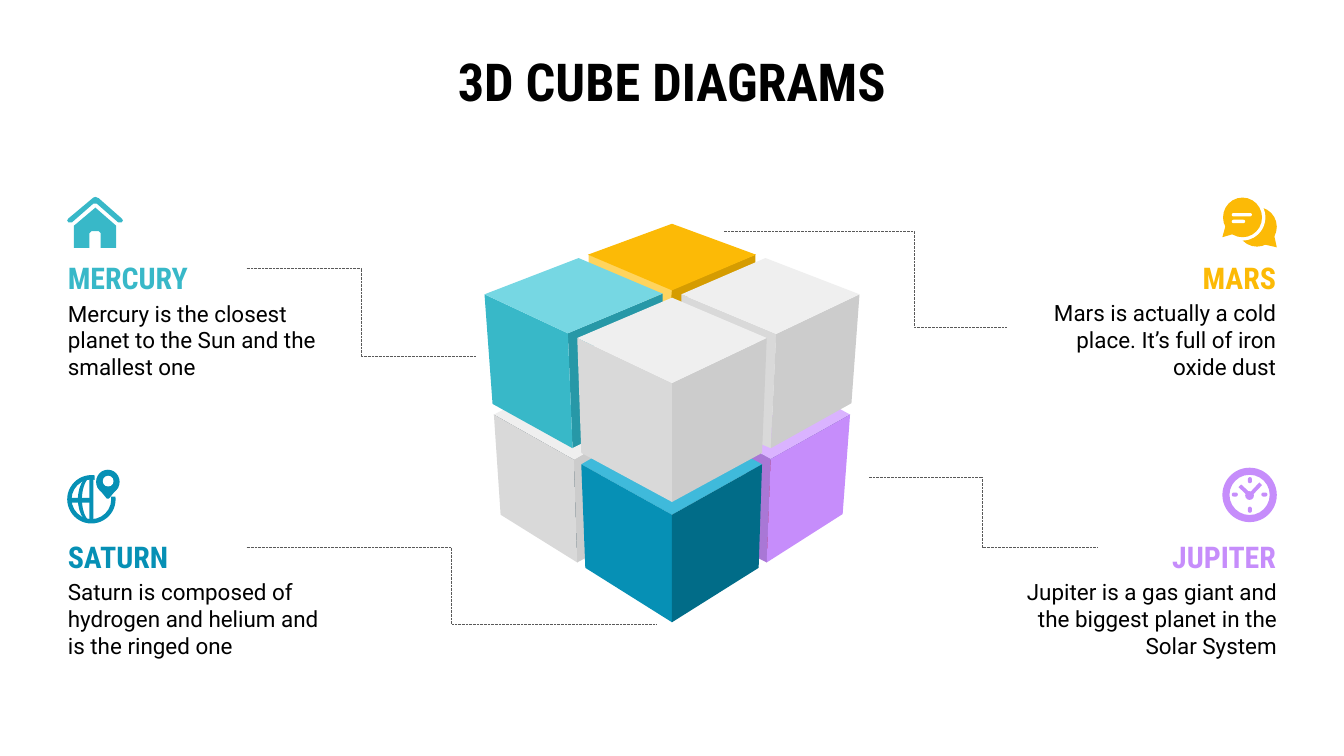
from dataclasses import dataclass

from lxml import etree
from pptx import Presentation
from pptx.dml.color import RGBColor
from pptx.enum.dml import MSO_LINE
from pptx.enum.shapes import MSO_CONNECTOR, MSO_SHAPE
from pptx.enum.text import MSO_ANCHOR, MSO_AUTO_SIZE, PP_ALIGN
from pptx.oxml.ns import qn
from pptx.util import Inches, Pt

LEFT, CENTER, RIGHT = PP_ALIGN.LEFT, PP_ALIGN.CENTER, PP_ALIGN.RIGHT
OVAL, RING, MOON = MSO_SHAPE.OVAL, MSO_SHAPE.DONUT, MSO_SHAPE.MOON
BOX, ROUNDED = MSO_SHAPE.RECTANGLE, MSO_SHAPE.ROUNDED_RECTANGLE

# The page is a grid of square cells
COLUMNS, ROWS = 20, 11.25
PAGE_WIDTH = Inches(20)
CELL = PAGE_WIDTH // COLUMNS


@dataclass(frozen=True)
class Theme:
    heading_font: str = "Roboto Condensed"
    body_font: str = "Roboto"
    title_size: int = 56
    heading_size: int = 32
    body_size: int = 24
    black: str = "000000"
    white: str = "FFFFFF"
    line: str = "595959"
    mercury: str = "38B8C8"
    mars: str = "FCBA06"
    saturn: str = "0690B5"
    jupiter: str = "C68DFB"
    top_grey: str = "EFEFEF"
    left_grey: str = "D9D9D9"
    right_grey: str = "CCCCCC"


THEME = Theme()

# Faces of the cubes, from back to front: colour, then corners by column and row
FACES = [
    # Gaps and inner sides
    ("325A6D", [(12.65, 6.17), (12.01, 6.43), (11.47, 6.83), (11.24, 6.5),
                (11.05, 6.69), (11.41, 6.91), (11.71, 6.88)]),
    ("FFD45E", [(8.76, 3.79), (8.76, 3.99), (9.61, 4.37), (9.66, 4.63), (10, 4.47), (10, 4.31)]),
    ("1A3644", [(7.35, 6.17), (7.74, 6.67), (8.54, 6.84), (8.39, 7.31), (8.59, 8.37),
                (8.61, 7.13), (8.54, 6.79), (7.87, 6.38)]),
    (THEME.right_grey, [(8.91, 6.63), (8.54, 6.84), (8.59, 8.37), (9, 8.15)]),
    ("2798A7", [(9.86, 4.37), (8.45, 4.96), (8.52, 6.67), (8.81, 6.53), (8.78, 5.18), (9.86, 4.56)]),
    ("B81F3C", [(11.47, 6.83), (11.34, 7.44), (11.41, 8.37), (11.55, 7.44)]),
    ("A977D6", [(11.03, 6.6), (10.85, 6.67), (10.9, 6.94), (11.1, 7.04), (11.29, 8.31),
                (11.41, 8.37), (11.47, 6.83)]),
    ("D59C01", [(11.24, 3.79), (10, 4.31), (9.98, 4.54), (10.24, 4.59), (10.24, 4.37), (11.24, 3.93)]),
    # Tops of the lower layer
    ("3FBADB", [(8.98, 6.72), (8.65, 6.91), (10, 7.66), (11.34, 6.91), (11.16, 6.81)]),
    ("DAB3FF", [(12.18, 5.91), (11.19, 6.3), (11.32, 6.75), (11.47, 6.83), (12.65, 6.17)]),
    (THEME.top_grey, [(7.81, 5.93), (7.35, 6.17), (8.54, 6.84), (8.68, 6.76), (8.68, 6.59), (8.52, 6.67)]),
    # Outer sides
    (THEME.left_grey, [(7.35, 6.17), (7.45, 7.66), (8.59, 8.37), (8.54, 6.84)]),
    (THEME.mercury, [(7.21, 4.38), (7.33, 6.01), (8.52, 6.67), (8.45, 4.96)]),
    (THEME.left_grey, [(10.14, 4.38), (10.14, 4.57), (11.26, 5.07), (11.26, 6.58),
                       (11.47, 6.67), (11.55, 4.97)]),
    (THEME.left_grey, [(8.59, 5.03), (8.65, 6.74), (10, 7.47), (10, 5.7)]),
    (THEME.saturn, [(8.65, 6.91), (8.71, 8.45), (10, 9.26), (10, 7.66)]),
    ("016C88", [(11.34, 6.91), (10, 7.66), (10, 9.26), (11.29, 8.45)]),
    (THEME.right_grey, [(11.41, 5.03), (10, 5.7), (10, 7.47), (11.34, 6.74)]),
    (THEME.right_grey, [(12.79, 4.38), (11.55, 4.97), (11.47, 6.67), (12.67, 6)]),
    (THEME.jupiter, [(12.65, 6.17), (11.47, 6.83), (11.41, 8.37), (12.54, 7.65)]),
    # Tops of the upper layer
    (THEME.top_grey, [(10, 4.43), (8.59, 5.03), (10, 5.7), (11.41, 5.03)]),
    ("76D7E3", [(8.61, 3.84), (7.21, 4.38), (8.45, 4.96), (9.86, 4.37)]),
    (THEME.top_grey, [(11.39, 3.84), (10.14, 4.38), (11.55, 4.97), (12.79, 4.38)]),
    (THEME.mars, [(10, 3.33), (8.75, 3.79), (10, 4.32), (11.25, 3.79)]),
]

# Name, colour, alignment, heading cell, description, its left, top and width
PLANETS = [
    ("MERCURY", THEME.mercury, LEFT, (0.81, 3.58),
     "Mercury is the closest planet to the Sun and the smallest one", (0.81, 4.26, 4.21)),
    ("SATURN", THEME.saturn, LEFT, (0.81, 7.73),
     "Saturn is composed of hydrogen and helium and is the ringed one", (0.81, 8.41, 4.21)),
    ("MARS", THEME.mars, RIGHT, (16.33, 3.58),
     "Mars is actually a cold place. It’s full of iron oxide dust", (14.98, 4.25, 4.21)),
    ("JUPITER", THEME.jupiter, RIGHT, (16.33, 7.73),
     "Jupiter is a gas giant and the biggest planet in the Solar System", (14.85, 8.41, 4.35)),
]

# Start, end and share of the width where the line bends
LEADERS = [((3.67, 4), (7.08, 5.31), 0.5), ((3.67, 8.15), (9.77, 9.29), 0.5),
           ((16.33, 8.15), (12.92, 7.1), 0.5), ((14.98, 4.87), (10.77, 3.44), 0.327)]


def cells(*counts):
    return [round(count * CELL) for count in counts]


def paint(shape, color):
    shape.shadow.inherit = False
    shape.fill.solid()
    shape.fill.fore_color.rgb = RGBColor.from_string(color)
    shape.line.fill.background()


def add_polygon(group, color, corners):
    points = [cells(*corner) for corner in corners]
    builder = group.shapes.build_freeform(*points[0])
    builder.add_line_segments(points[1:], close=True)
    paint(builder.convert_to_shape(), color)


def add_preset(group, kind, color, left, top, width, height, adjust=None):
    shape = group.shapes.add_shape(kind, *cells(left, top, width, height))
    if adjust is not None:
        shape.adjustments[0] = adjust
    paint(shape, color)


def write_text(box, text, font, size, color=THEME.black, bold=False, align=LEFT,
               spacing=None, after=None):
    frame = box.text_frame
    frame.word_wrap, frame.auto_size = True, MSO_AUTO_SIZE.NONE
    frame.vertical_anchor = MSO_ANCHOR.TOP
    frame.margin_left = frame.margin_right = frame.margin_top = frame.margin_bottom = Inches(0.2)
    para = frame.paragraphs[0]
    para.alignment, para.line_spacing, para.space_before = align, spacing, Pt(0)
    if after:
        para.space_after = Pt(after)
    span = para.add_run()
    span.text = text
    span.font.name, span.font.size, span.font.bold = font, Pt(size), bold
    span.font.color.rgb = RGBColor.from_string(color)


def add_planet(page, name, color, align, heading_cell, description, place):
    left, top, width = place
    box = page.shapes.add_textbox(*cells(left, top, width, 1.25))
    write_text(box, description, THEME.body_font, THEME.body_size, align=align)
    box = page.shapes.add_textbox(*cells(*heading_cell, 2.86, 0.84))
    write_text(box, name, THEME.heading_font, THEME.heading_size, color=color, bold=True,
               align=align, spacing=1.15, after=32)


def add_leader(page, start, end, bend):
    leader = page.shapes.add_connector(MSO_CONNECTOR.ELBOW, *cells(*start, *end))
    leader.line.color.rgb = RGBColor.from_string(THEME.line)
    leader.line.width, leader.line.dash_style = Pt(0.75), MSO_LINE.ROUND_DOT
    properties = leader._element.spPr
    etree.SubElement(properties, qn("a:effectLst"))
    geometry = properties.find(qn("a:prstGeom"))
    guides = geometry.find(qn("a:avLst"))
    if guides is None:
        guides = etree.SubElement(geometry, qn("a:avLst"))
    etree.SubElement(guides, qn("a:gd"), name="adj1", fmla=f"val {round(bend * 100000)}")


def add_house(group, color):
    add_polygon(group, color, [(1.42, 3.09), (1.1, 3.36), (1.1, 3.69), (1.33, 3.69), (1.33, 3.47),
                               (1.36, 3.44), (1.47, 3.44), (1.5, 3.47), (1.5, 3.69), (1.73, 3.69),
                               (1.73, 3.36)])
    add_polygon(group, color, [(1.39, 2.94), (1.02, 3.25), (1, 3.28), (1.02, 3.31), (1.07, 3.31),
                               (1.39, 3.03), (1.44, 3.03), (1.76, 3.31), (1.81, 3.31), (1.83, 3.28),
                               (1.81, 3.25), (1.47, 2.95), (1.42, 2.93)])


def add_globe(group, color):
    add_preset(group, RING, color, 1, 7.07, 0.72, 0.72, 0.09)
    add_preset(group, MOON, color, 1.16, 7.1, 0.17, 0.66, 0.35)
    add_preset(group, BOX, color, 1.04, 7.41, 0.32, 0.07)
    add_preset(group, BOX, color, 1.33, 7.1, 0.06, 0.66)
    # Pin in the cleared corner
    add_preset(group, BOX, THEME.white, 1.41, 7.05, 0.33, 0.34)
    add_preset(group, OVAL, color, 1.43, 6.99, 0.35, 0.36)
    add_polygon(group, color, [(1.45, 7.25), (1.76, 7.25), (1.62, 7.42), (1.59, 7.42)])
    add_preset(group, OVAL, THEME.white, 1.53, 7.08, 0.16, 0.16)


def add_chat(group, color):
    add_preset(group, OVAL, color, 18.41, 3.08, 0.59, 0.59)
    add_polygon(group, color, [(19, 3.68), (18.82, 3.64), (18.96, 3.5)])
    add_preset(group, OVAL, THEME.white, 18.14, 2.89, 0.69, 0.69)
    add_preset(group, OVAL, color, 18.2, 2.94, 0.58, 0.59)
    add_polygon(group, color, [(18.19, 3.53), (18.24, 3.35), (18.36, 3.48)])
    for top, width in ((3.17, 0.3), (3.27, 0.2)):
        add_preset(group, ROUNDED, THEME.white, 18.33, top, width, 0.05, 0.5)


def add_clock(group, color):
    add_preset(group, RING, color, 18.19, 6.96, 0.81, 0.81, 0.13)
    for left, top, width, height in ((18.57, 7.1, 0.06, 0.09), (18.57, 7.54, 0.06, 0.09),
                                     (18.33, 7.33, 0.09, 0.06), (18.77, 7.33, 0.09, 0.06)):
        add_preset(group, ROUNDED, color, left, top, width, height, 0.5)
    add_polygon(group, color, [(18.43, 7.25), (18.47, 7.21), (18.6, 7.33), (18.74, 7.18),
                               (18.78, 7.22), (18.6, 7.41)])
    add_preset(group, OVAL, color, 18.53, 7.31, 0.13, 0.13)


def main():
    deck = Presentation()
    deck.slide_width, deck.slide_height = PAGE_WIDTH, round(ROWS * CELL)
    page = deck.slides.add_slide(deck.slide_layouts[5])

    # Title
    title = page.shapes.title
    title.left, title.top, title.width, title.height = cells(1, 0.53, 18, 1.25)
    write_text(title, "3D CUBE DIAGRAMS", THEME.heading_font, THEME.title_size,
               bold=True, align=CENTER)

    # Cube
    cube = page.shapes.add_group_shape()
    for color, corners in FACES:
        add_polygon(cube, color, corners)

    # Labels, icons and leader lines
    for planet in PLANETS:
        add_planet(page, *planet)
    for add_icon, color in ((add_clock, THEME.jupiter), (add_chat, THEME.mars),
                            (add_globe, THEME.saturn), (add_house, THEME.mercury)):
        add_icon(page.shapes.add_group_shape(), color)
    for leader in LEADERS:
        add_leader(page, *leader)

    deck.save("out.pptx")


if __name__ == "__main__":
    main()
